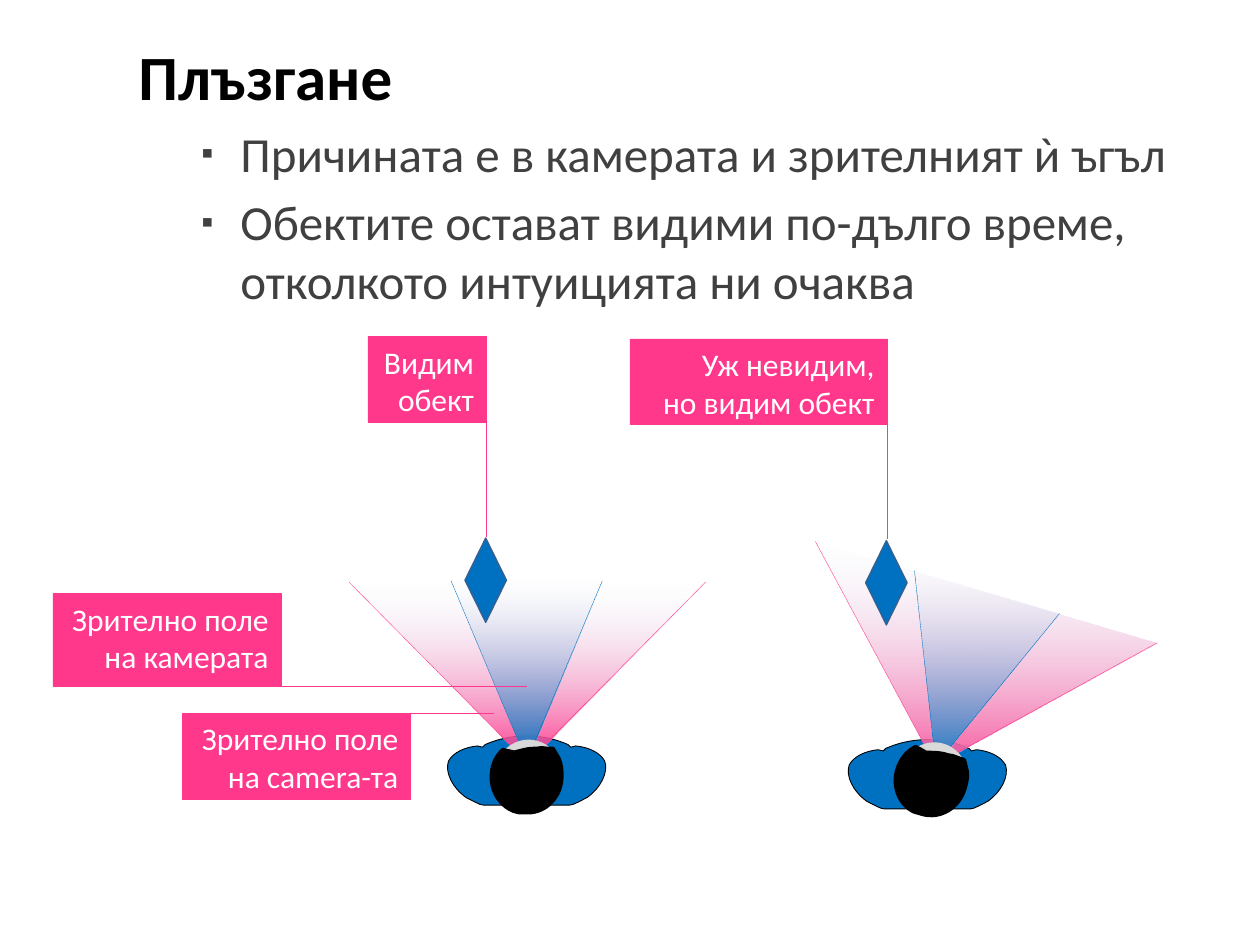
from math import cos, radians, sin

from lxml import etree
from pptx import Presentation
from pptx.dml.color import RGBColor
from pptx.enum.dml import MSO_LINE
from pptx.enum.shapes import MSO_CONNECTOR, MSO_SHAPE
from pptx.enum.text import MSO_ANCHOR, PP_ALIGN
from pptx.oxml.ns import qn
from pptx.util import Inches, Pt

STRAIGHT = MSO_CONNECTOR.STRAIGHT
RECT = MSO_SHAPE.RECTANGLE
OVAL = MSO_SHAPE.OVAL
DIAMOND = MSO_SHAPE.DIAMOND
TRIANGLE = MSO_SHAPE.ISOSCELES_TRIANGLE
DASH = MSO_LINE.SQUARE_DOT
TOP = MSO_ANCHOR.TOP
LEFT, RIGHT = PP_ALIGN.LEFT, PP_ALIGN.RIGHT

PINK = RGBColor(0xFF, 0x38, 0x8C)
BLUE = RGBColor(0x00, 0x70, 0xC0)
PALE = RGBColor(0xE1, 0xE8, 0xF5)
GREY = RGBColor(0xD9, 0xD9, 0xD9)
DARK = RGBColor(0x40, 0x40, 0x40)
NAVY = RGBColor(0x3A, 0x5F, 0x8C)
BLACK = RGBColor(0, 0, 0)
WHITE = RGBColor(0xFF, 0xFF, 0xFF)

TITLE = "Плъзгане"
POINTS = [
    "Причината е в камерата и зрителният ѝ ъгъл",
    "Обектите остават видими по-дълго време, отколкото интуицията ни очаква",
]
LABELS = [
    ("Зрително поле на камерата", (0.42, 4.71, 1.81, 0.74), (0.42, 5.45, 4.18, 5.45)),
    ("Зрително поле на camera-та", (1.45, 5.66, 1.81, 0.68), (1.45, 5.66, 3.92, 5.66)),
    ("Видим обект", (2.92, 2.67, 0.94, 0.68), (3.86, 2.67, 3.86, 4.26)),
    ("Уж невидим,\nно видим обект", (5, 2.69, 2.04, 0.68), (7.04, 2.69, 7.04, 4.28)),
]
VIEWERS = [
    {"body": (4.18, 5.84), "head": (3.9, 5.93), "lens": (3.92, 5.87),
     "fans": [(2.77, 4.62, 2.83, PINK), (3.58, 4.61, 1.2, BLUE)],
     "thing": (3.69, 4.27), "turn": 0},
    {"body": (7.36, 5.87), "head": (7.1, 5.95), "lens": (7.13, 5.89),
     "fans": [(6.21, 4.67, 2.83, PINK), (7.03, 4.67, 1.2, BLUE)],
     "thing": (6.87, 4.29), "turn": 16.5},
]
FAN_H = 1.43
HALF = [
    (0, 0), (0.13, 0, 0.24, 0.03, 0.33, 0.07), (0.35, 0.09), (0.39, 0.08),
    (0.49, 0.09, 0.58, 0.13, 0.62, 0.2), (0.65, 0.29, 0.59, 0.41, 0.48, 0.49),
    (0.4, 0.53), (0.38, 0.54, 0.36, 0.55, 0.34, 0.55),
]
HEAD = [
    (0.36, 0.01), (0.4, 0, 0.43, 0.01, 0.46, 0.01), (0.49, 0.01), (0.52, 0.06),
    (0.55, 0.1, 0.56, 0.16, 0.56, 0.23), (0.56, 0.39, 0.44, 0.52, 0.29, 0.52),
    (0.27, 0.52, 0.25, 0.52, 0.23, 0.52), (0.22, 0.52),
    (0.1, 0.5, 0, 0.38, 0, 0.24), (0, 0.15, 0.03, 0.08, 0.08, 0.03),
    (0.09, 0.02), (0.14, 0.03), (0.18, 0.04), (0.26, 0.02),
    (0.3, 0.01, 0.33, 0.01, 0.36, 0.01),
]

deck = Presentation()
deck.slide_width, deck.slide_height = Inches(10), Inches(7.5)
slide = deck.slides.add_slide(deck.slide_layouts[6])
shapes = slide.shapes


def write(para, text, size, color, bold=False, align=LEFT):
    para.text = text
    para.alignment = align
    look = {"name": "Calibri", "size": Pt(size), "bold": bold}
    for run in para.runs:
        for key, value in look.items():
            setattr(run.font, key, value)
        run.font.color.rgb = color


def paint(shape, fill, edge=None, width=0.25, turn=0):
    shape.shadow.inherit = False
    shape.rotation = turn
    shape.fill.solid()
    shape.fill.fore_color.rgb = fill
    if edge is None:
        shape.line.fill.background()
    else:
        shape.line.color.rgb = edge
        shape.line.width = Pt(width)
    return shape


def add(kind, box):
    return shapes.add_shape(kind, *map(Inches, box))


def link(ends, color, dash=None):
    line = shapes.add_connector(STRAIGHT, *map(Inches, ends))
    line.line.color.rgb = color
    line.line.width = Pt(0.25)
    if dash:
        line.line.dash_style = dash
    etree.SubElement(line._element.spPr, qn("a:effectLst"))


def mirror(steps):
    back = [(-steps[-1][-2], steps[-1][-1])]
    for step, prior in zip(steps[:0:-1], steps[-2::-1]):
        spots = [prior[-2:]]
        if len(step) == 6:
            spots = [step[2:4], step[:2], prior[-2:]]
        back.append(tuple(v for x, y in spots for v in (-x, y)))
    return steps + back


def outline(steps, at):
    ends = [(Inches(at[0] + s[-2]), Inches(at[1] + s[-1])) for s in steps]
    pen = shapes.build_freeform(*ends[0])
    pen.add_line_segments(ends[1:], close=True)
    shape = pen.convert_to_shape()
    lines = list(shape._element.iter(qn("a:lnTo")))
    for node, step in zip(lines, steps[1:]):
        if len(step) == 2:
            continue
        curve = etree.Element(qn("a:cubicBezTo"))
        for x, y in zip(step[::2], step[1::2]):
            spot = etree.SubElement(curve, qn("a:pt"))
            spot.set("x", str(Inches(at[0] + x) - shape.left))
            spot.set("y", str(Inches(at[1] + y) - shape.top))
        node.getparent().replace(node, curve)
    return shape


def add_fan(left, top, wide, color, turn):
    cone = paint(add(TRIANGLE, (left, top, wide, FAN_H)), color, turn=180 + turn)
    cone.fill.gradient()
    cone.fill.gradient_angle = 270 + turn
    for stop, tint, spot in zip(cone.fill.gradient_stops, (color, PALE), (0, 1)):
        stop.color.rgb = tint
        stop.position = spot
    last = cone._element.spPr.findall(".//" + qn("a:srgbClr"))[-1]
    etree.SubElement(last, qn("a:alpha")).set("val", "0")
    c, s = cos(radians(turn)), sin(radians(turn))
    mid = left + wide / 2, top + FAN_H / 2

    def spin(x, y):
        return mid[0] + x * c - y * s, mid[1] + x * s + y * c

    for side in (-1, 1):
        link((*spin(side * wide / 2, -FAN_H / 2), *spin(0, FAN_H / 2)), color, DASH)


def add_bullet(para):
    props = para._p.get_or_add_pPr()
    props.set("marL", str(Inches(0.81)))
    props.set("indent", str(Inches(-0.31)))
    tint = etree.SubElement(props, qn("a:buClr"))
    etree.SubElement(tint, qn("a:srgbClr")).set("val", str(DARK))
    etree.SubElement(props, qn("a:buSzPct")).set("val", "70000")
    etree.SubElement(props, qn("a:buFont")).set("typeface", "Arial")
    etree.SubElement(props, qn("a:buChar")).set("char", "▪")


frame = shapes.add_textbox(*map(Inches, (1, 0.25, 8.92, 7.17))).text_frame
frame.word_wrap = True
frame.margin_top = Inches(0.05)
write(frame.paragraphs[0], TITLE, 36, BLACK, True)
for point in POINTS:
    para = frame.add_paragraph()
    add_bullet(para)
    para.space_before = Pt(5.6)
    write(para, point, 28, DARK)

torso = mirror(HALF)
for man in VIEWERS:
    turn = man["turn"]
    paint(outline(torso, man["body"]), BLUE, BLACK, 0.5)
    for fan in man["fans"]:
        add_fan(*fan, turn)
    paint(add(OVAL, (*man["lens"], 0.55, 0.59)), GREY, turn=turn)
    paint(outline(HEAD, man["head"]), BLACK, BLACK, 2, turn)
    paint(add(DIAMOND, (*man["thing"], 0.33, 0.67)), BLUE, NAVY, 0.75)

for text, box, ends in LABELS:
    label = paint(add(RECT, box), PINK, PINK)
    label.text_frame.word_wrap = True
    label.text_frame.vertical_anchor = TOP
    write(label.text_frame.paragraphs[0], text, 18, WHITE, align=RIGHT)
    link(ends, PINK)

deck.save("out.pptx")
